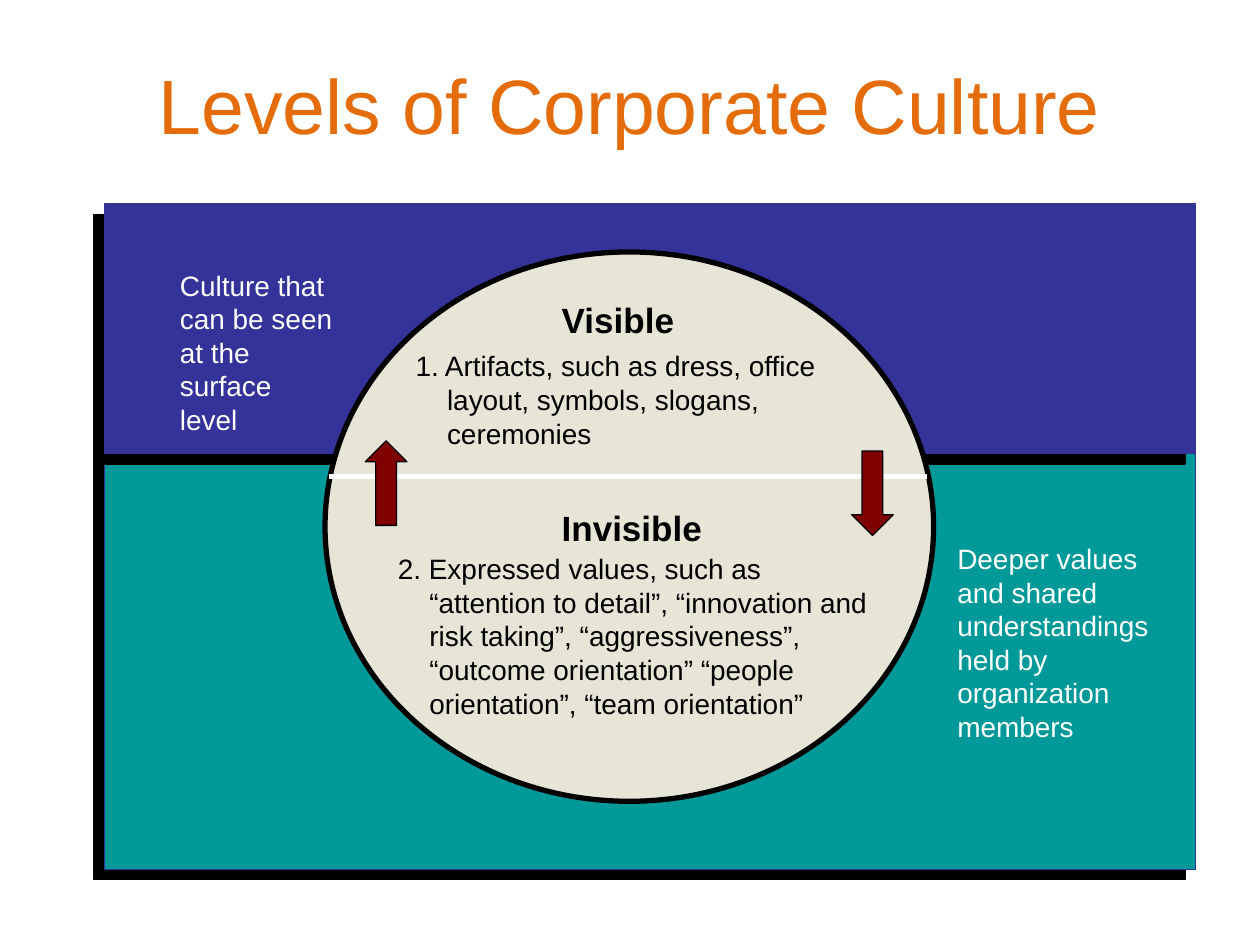
from dataclasses import dataclass

import pptx
import pptx.dml.color
import pptx.enum.shapes
import pptx.enum.text
import pptx.oxml
import pptx.oxml.ns
import pptx.util
from pptx.util import Inches

SHAPE = pptx.enum.shapes.MSO_SHAPE
ANCHOR = pptx.enum.text.MSO_ANCHOR
ALIGN = pptx.enum.text.PP_ALIGN
FONT = "Arial"
BLACK, WHITE = "000000", "FFFFFF"
NAVY, TEAL, CREAM, MAROON, ORANGE = "333399", "009999", "E7E5D5", "800000", "E46C0A"


@dataclass
class Figure:
    kind: int
    box: tuple[float, float, float, float]
    fill: str
    line: str = BLACK
    width: float = 0.75
    shadow: bool = False


@dataclass
class Label:
    text: str
    box: tuple[float, float, float, float]
    size: int = 16
    color: str = BLACK
    bold: bool = False
    hanging: float = 0


def rgb(color: str) -> pptx.dml.color.RGBColor:
    return pptx.dml.color.RGBColor.from_string(color)


def write(tf, text: str, size: int, color: str, bold: bool = False):
    p = tf.paragraphs[0]
    r = p.add_run()
    r.text = text
    values = {"name": FONT, "size": pptx.util.Pt(size), "bold": bold}
    for name, value in values.items():
        setattr(r.font, name, value)
    r.font.color.rgb = rgb(color)
    return p


def add_shadow(sp) -> None:
    """Cast a solid black shadow down and to the left."""
    effects = sp._element.spPr.find(pptx.oxml.ns.qn("a:effectLst"))
    effects.append(pptx.oxml.parse_xml(
        f'<a:outerShdw {pptx.oxml.ns.nsdecls("a")} dist="{pptx.util.Pt(8.5)}" '
        f'dir="{135 * 60000}" algn="ctr" rotWithShape="0">'
        f'<a:srgbClr val="{BLACK}"/></a:outerShdw>'))


def draw_figure(shapes, figure: Figure) -> None:
    sp = shapes.add_shape(figure.kind, *map(Inches, figure.box))
    sp.shadow.inherit = False
    sp.fill.solid()
    sp.fill.fore_color.rgb = rgb(figure.fill)
    sp.line.color.rgb = rgb(figure.line)
    sp.line.width = pptx.util.Pt(figure.width)
    if figure.shadow:
        add_shadow(sp)


def draw_divider(shapes, left: float, right: float, y: float) -> None:
    line = shapes.add_connector(pptx.enum.shapes.MSO_CONNECTOR.STRAIGHT,
                                Inches(left), Inches(y), Inches(right), Inches(y))
    line.line.color.rgb = rgb(WHITE)
    line.line.width = pptx.util.Pt(3)
    line._element.spPr.append(pptx.oxml.parse_xml(
        f'<a:effectLst {pptx.oxml.ns.nsdecls("a")}/>'))


def draw_label(shapes, label: Label) -> None:
    tf = shapes.add_textbox(*map(Inches, label.box)).text_frame
    tf.word_wrap = True
    p = write(tf, label.text, label.size, label.color, label.bold)
    if label.hanging:
        pPr = p._p.get_or_add_pPr()
        pPr.set("marL", str(Inches(label.hanging)))
        pPr.set("indent", str(-Inches(label.hanging)))


BANDS = [
    Figure(SHAPE.RECTANGLE, (0.83, 3.6, 8.66, 3.3), TEAL, NAVY, shadow=True),
    Figure(SHAPE.RECTANGLE, (0.83, 1.62, 8.66, 1.98), NAVY, NAVY, shadow=True),
]
OVAL = Figure(SHAPE.OVAL, (2.58, 2, 4.83, 4.36), CREAM, width=3)
ARROWS = [
    Figure(SHAPE.UP_ARROW, (2.9, 3.5, 0.33, 0.67), MAROON),
    Figure(SHAPE.DOWN_ARROW, (6.76, 3.58, 0.33, 0.67), MAROON),
]
LABELS = [
    Label("Visible", (4.36, 2.32, 1.25, 0.44), size=20, bold=True),
    Label("1. Artifacts, such as dress, office layout, symbols, slogans, ceremonies",
          (3.2, 2.72, 3.83, 0.9), hanging=0.25),
    Label("Invisible", (4.36, 3.97, 1.6, 0.44), size=20, bold=True),
    Label("2. Expressed values, such as “attention to detail”, “innovation and "
          "risk taking”, “aggressiveness”, “outcome orientation” “people "
          "orientation”, “team orientation”",
          (3.06, 4.33, 4, 1.44), hanging=0.25),
    Label("Culture that can be seen at the surface level",
          (1.33, 2.08, 1.42, 1.44), color=WHITE),
    Label("Deeper values and shared understandings held by organization members",
          (7.5, 4.25, 1.73, 1.7), color=WHITE),
]


def main() -> None:
    prs = pptx.Presentation()
    prs.slide_width, prs.slide_height = Inches(10), Inches(7.5)
    s = prs.slides.add_slide(prs.slide_layouts[5])

    # Title
    title = s.shapes.title
    place = {"left": 0.75, "top": 0.25, "width": 8.5, "height": 1.14}
    for name, value in place.items():
        setattr(title, name, Inches(value))
    title.text_frame.vertical_anchor = ANCHOR.MIDDLE
    write(title.text_frame, "Levels of Corporate Culture", 44, ORANGE).alignment = ALIGN.CENTER

    # Background bands
    bands = s.shapes.add_group_shape()
    for band in BANDS:
        draw_figure(bands.shapes, band)

    # Divided oval
    oval = s.shapes.add_group_shape()
    draw_figure(oval.shapes, OVAL)
    draw_divider(oval.shapes, 2.61, 7.36, 3.78)

    # Arrows and wording
    for arrow in ARROWS:
        draw_figure(s.shapes, arrow)
    for label in LABELS:
        draw_label(s.shapes, label)

    prs.save("out.pptx")


if __name__ == "__main__":
    main()
